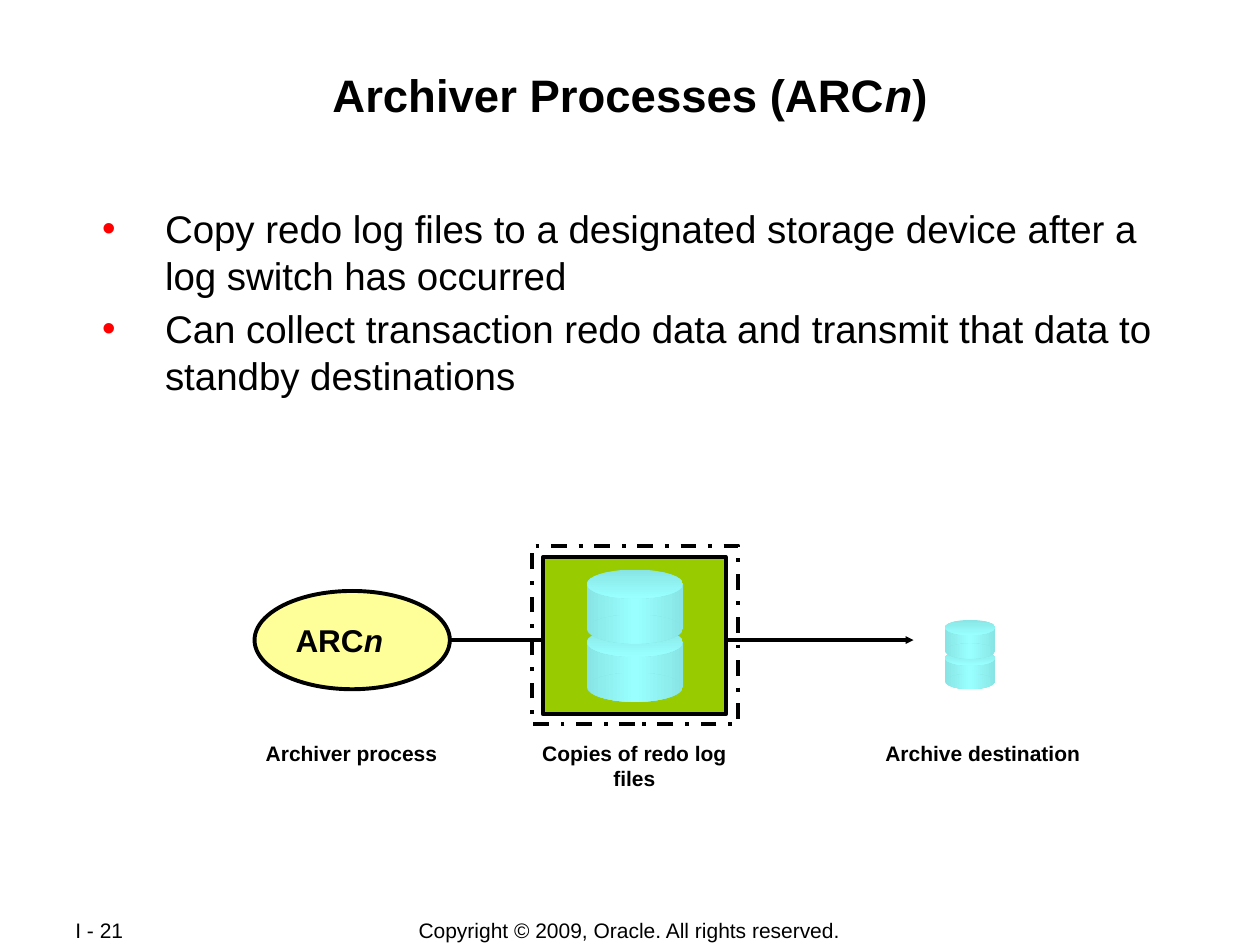
from copy import deepcopy

from lxml import etree
from pptx import Presentation
from pptx.dml.color import RGBColor
from pptx.enum import dml, shapes, text
from pptx.oxml.ns import qn
from pptx.util import Inches, Pt

BLACK = RGBColor(0x00, 0x00, 0x00)
RED = RGBColor(0xFF, 0x00, 0x00)
GREEN = RGBColor(0x99, 0xCC, 0x00)
YELLOW = RGBColor(0xFF, 0xFF, 0x99)
AQUA = RGBColor(0x99, 0xFF, 0xFF)
AQUA_DARK = RGBColor(0x89, 0xE5, 0xE5)
FONT = "Arial"
LINE_WIDTH = Pt(2.25)
RECT = shapes.MSO_SHAPE.RECTANGLE
OVAL = shapes.MSO_SHAPE.OVAL
LEFT, CENTER = text.PP_ALIGN.LEFT, text.PP_ALIGN.CENTER


def write_runs(paragraph, parts, size, bold=False, align=LEFT):
    """Write the parts as runs; every second part is italic."""
    paragraph.alignment = align
    for i, part in enumerate(parts):
        run = paragraph.add_run()
        run.text = part
        font = run.font
        font.name, font.size, font.bold = FONT, Pt(size), bold
        font.italic = i % 2 == 1
        font.color.rgb = BLACK


def set_frame(frame, side=0.1, above=0.05, below=0.05, anchor=text.MSO_ANCHOR.TOP):
    frame.word_wrap = True
    frame.auto_size = text.MSO_AUTO_SIZE.NONE
    frame.margin_left = frame.margin_right = Inches(side)
    frame.margin_top, frame.margin_bottom = Inches(above), Inches(below)
    frame.vertical_anchor = anchor


def place(shape, left, top, width, height):
    shape.left, shape.top = Inches(left), Inches(top)
    shape.width, shape.height = Inches(width), Inches(height)


def add_title(slide, left, top, width, height):
    title = slide.shapes.title
    place(title, left, top, width, height)
    set_frame(title.text_frame, 0.01, 0.05, 0.01)
    write_runs(title.text_frame.paragraphs[0],
               ["Archiver Processes (ARC", "n", ")"], 26, True, CENTER)


def add_bullet(paragraph):
    props = paragraph._p.get_or_add_pPr()
    props.set("marL", str(Inches(0.63)))
    props.set("indent", str(Inches(-0.5)))
    color = etree.SubElement(props, qn("a:buClr"))
    etree.SubElement(color, qn("a:srgbClr"), val=str(RED))
    etree.SubElement(props, qn("a:buFont"), typeface=FONT)
    etree.SubElement(props, qn("a:buChar"), char="•")


def add_points(slide, points, left, top, width, height):
    body = slide.placeholders[1]
    place(body, left, top, width, height)
    frame = body.text_frame
    set_frame(frame, 0.01, 0.05, 0.01)
    for i, point in enumerate(points):
        paragraph = frame.add_paragraph() if i else frame.paragraphs[0]
        add_bullet(paragraph)
        paragraph.space_before = Pt(4.4 if i else 0)
        write_runs(paragraph, [point], 22)


def add_label(slide, words, left, top, width, height, bold=True, align=CENTER,
              **frame_options):
    label = slide.shapes.add_textbox(*map(Inches, (left, top, width, height)))
    set_frame(label.text_frame, **frame_options)
    write_runs(label.text_frame.paragraphs[0], [words], 12, bold, align)


def add_outlined(slide, kind, left, top, width, height, fill=None):
    shape = slide.shapes.add_shape(kind, *map(Inches, (left, top, width, height)))
    shape.shadow.inherit = False
    if fill is None:
        shape.fill.background()
    else:
        shape.fill.solid()
        shape.fill.fore_color.rgb = fill
    shape.line.color.rgb = BLACK
    shape.line.width = LINE_WIDTH
    return shape


def add_arrow(slide, start, end, y):
    arrow = slide.shapes.add_connector(
        shapes.MSO_CONNECTOR.STRAIGHT,
        Inches(start), Inches(y), Inches(end), Inches(y))
    arrow.line.color.rgb = BLACK
    arrow.line.width = LINE_WIDTH
    etree.SubElement(arrow.line._get_or_add_ln(), qn("a:tailEnd"),
                     type="triangle", w="sm", len="sm")
    etree.SubElement(arrow._element.spPr, qn("a:effectLst"))


def shade(shape, is_lid):
    """Lids darken towards the top, sides towards both edges."""
    fill = shape.fill
    fill.gradient()
    fill.gradient_angle = 270 if is_lid else 0
    first, last = fill.gradient_stops
    first.color.rgb, first.position = AQUA_DARK, 0
    last.color.rgb, last.position = AQUA, 1
    if not is_lid:
        stops = shape._element.spPr.find(".//" + qn("a:gsLst"))
        edge = deepcopy(stops[0])
        last.position = 0.5
        stops.append(edge)
        edge.set("pos", "100000")


def add_disk_stack(slide, left, top, width, height):
    """Two cylinders, the upper one overlapping the lower one."""
    stack = slide.shapes.add_group_shape()
    for disk in (0.44, 0):
        for kind, offset, share, is_lid in ((RECT, 0.11, 0.34, False),
                                            (OVAL, 0, 0.22, True),
                                            (OVAL, 0.34, 0.22, False)):
            part = stack.shapes.add_shape(
                kind, Inches(left), Inches(top + (disk + offset) * height),
                Inches(width), Inches(share * height))
            part.shadow.inherit = False
            part.line.fill.background()
            shade(part, is_lid)


def add_archive_flow(slide, left, top):
    """Process, log copies and destination, from left to right."""
    flow_y = top + 0.75
    add_arrow(slide, left + 1.58, left + 2.67, flow_y)
    add_arrow(slide, left + 4, left + 5.5, flow_y)

    for words, offset, width, height in (
            ("Archiver process", 0, 2.08, 0.3),
            ("Archive destination", 5.01, 2.08, 0.3),
            ("Copies of redo log files", 2.37, 1.83, 0.5)):
        add_label(slide, words, left + offset, top + 1.5, width, height)

    add_outlined(slide, RECT, left + 2.56, top + 0.09, 1.45, 1.25, GREEN)
    add_disk_stack(slide, left + 2.91, top + 0.19, 0.76, 1.05)
    border = add_outlined(slide, RECT, left + 2.47, top, 1.64, 1.42)
    border.line.dash_style = dml.MSO_LINE.DASH_DOT

    process = add_outlined(slide, OVAL, left + 0.27, top + 0.36, 1.55, 0.78, YELLOW)
    set_frame(process.text_frame, anchor=text.MSO_ANCHOR.MIDDLE)
    write_runs(process.text_frame.paragraphs[0], ["ARC", "n"], 18, True)
    add_disk_stack(slide, left + 5.75, top + 0.59, 0.4, 0.55)


def add_footer(slide, top, height):
    for words, left, width, align in (
            ("Copyright © 2009, Oracle. All rights reserved.", 2.75, 4.49, CENTER),
            ("I - 21", 0.5, 1.06, LEFT)):
        add_label(slide, words, left, top, width, height, False, align,
                  above=0, below=0, anchor=text.MSO_ANCHOR.MIDDLE)


def main():
    deck = Presentation()
    deck.slide_width, deck.slide_height = Inches(10), Inches(7.5)
    slide = deck.slides.add_slide(deck.slide_layouts[1])
    add_footer(slide, 7.28, 0.21)
    add_title(slide, 0.67, 0.48, 8.66, 0.96)
    add_points(slide, [
        "Copy redo log files to a designated storage device after a log switch "
        "has occurred",
        "Can collect transaction redo data and transmit that data to standby "
        "destinations",
    ], 0.67, 1.58, 8.66, 1.91)
    add_archive_flow(slide, 1.75, 4.33)
    deck.save("out.pptx")


if __name__ == "__main__":
    main()
